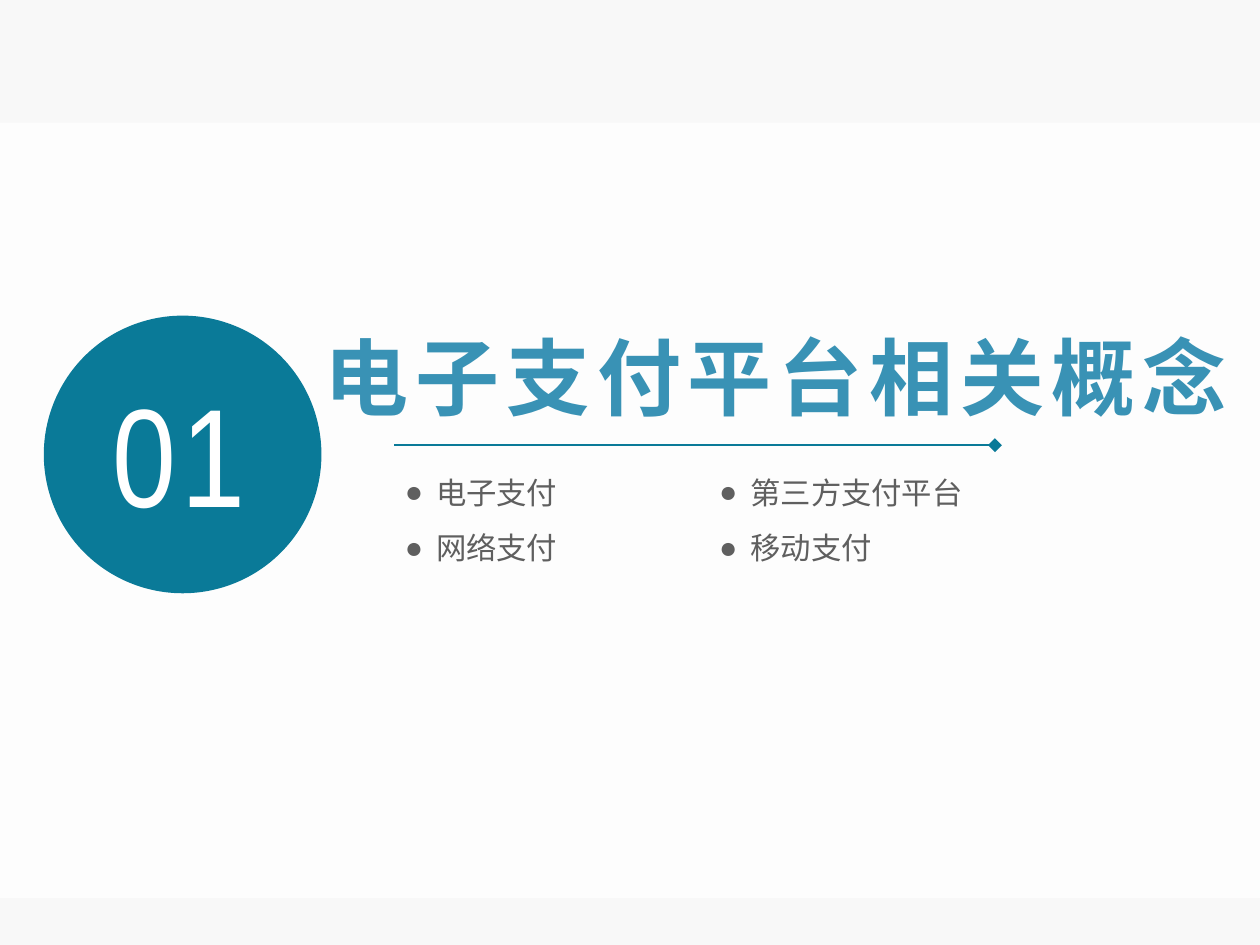
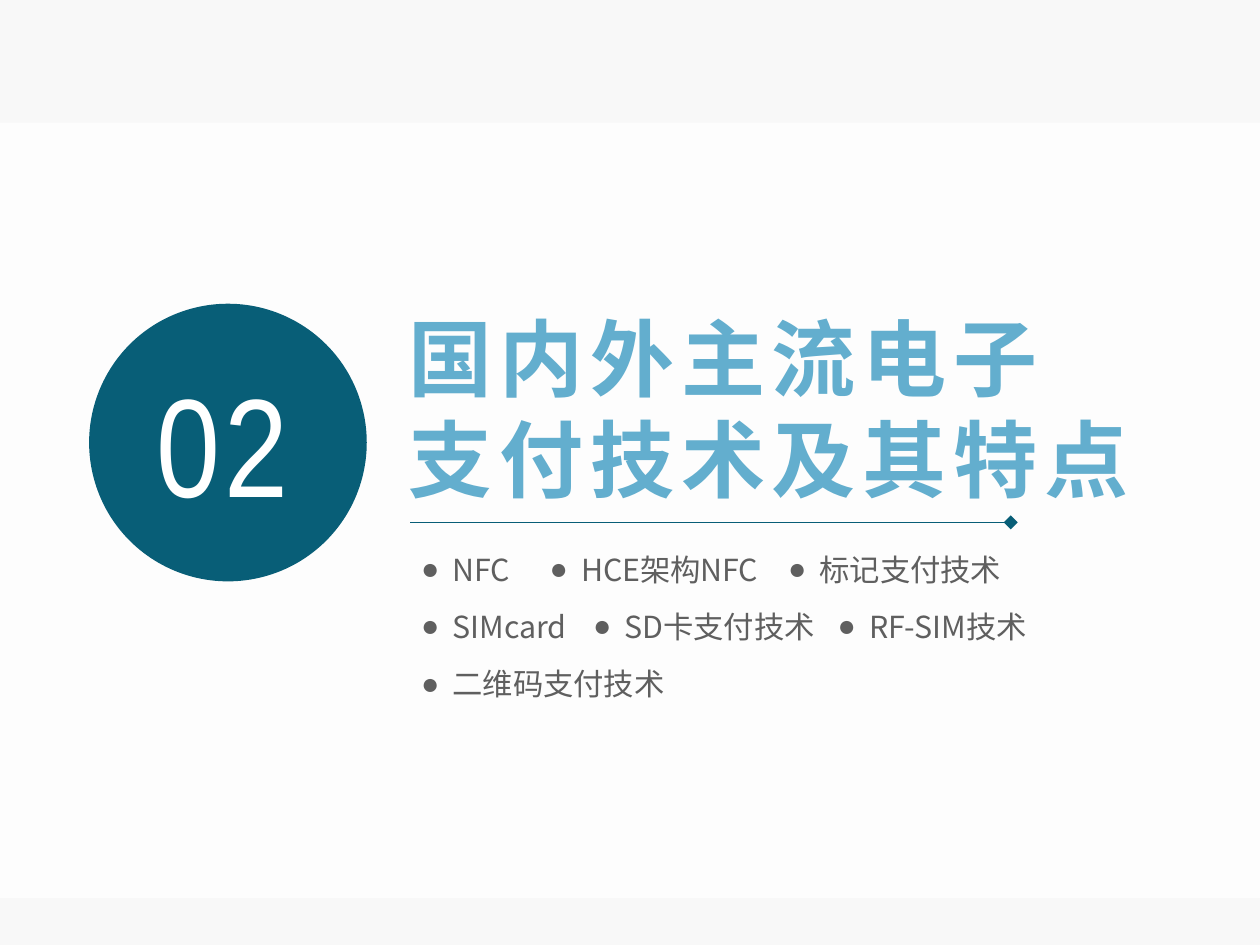
from pptx import Presentation
from pptx.util import Pt
from pptx.dml.color import RGBColor
from pptx.enum.shapes import MSO_SHAPE as Shape, MSO_CONNECTOR as Line
from pptx.enum.text import MSO_ANCHOR as Anchor, MSO_AUTO_SIZE as Fit, PP_ALIGN as Align
from pptx.oxml.ns import qn
from lxml.etree import SubElement as sub

rgb = RGBColor.from_string
SANS, NARROW = "Noto Sans CJK SC", "Arial Narrow"
GREY, WHITE = "5F5F5F", "FFFFFF"


def write(box, text, size, color, font=SANS, bold=False, gap=0, pitch=None,
          pad=(7.2, 3.6, 7.2, 3.6), wrap=True, bullet=None):
    frame = box.text_frame
    frame.auto_size, frame.word_wrap = Fit.NONE, wrap
    frame.vertical_anchor = Anchor.TOP
    (frame.margin_left, frame.margin_top,
     frame.margin_right, frame.margin_bottom) = map(Pt, pad)
    frame.text = text
    for para in frame.paragraphs:
        para.alignment = Align.LEFT
        if bullet:
            props = para._p.get_or_add_pPr()
            props.set("marL", str(Pt(13.5)))
            props.set("indent", str(-Pt(13.5)))
            sub(props, qn("a:buFont"), typeface="Arial")
            sub(props, qn("a:buChar"), char=bullet)
        if pitch:
            para.line_spacing = Pt(pitch)
        for run in para.runs:
            face = run.font
            face.size, face.bold, face.name = Pt(size), bold, font
            face.color.rgb = rgb(color)
            mark = run._r.get_or_add_rPr()
            mark.set("spc", str(int(gap * 100)))
            sub(mark, qn("a:ea"), typeface=font)


def draw(slide, kind, color, *place):
    shape = slide.shapes.add_shape(kind, *map(Pt, place))
    shape.shadow.inherit = False
    shape.fill.solid()
    shape.fill.fore_color.rgb = rgb(color)
    shape.line.fill.background()
    return shape


# Each part: number, colours, circle, number box, title box, rule, items
parts = [
    dict(num="01", dark="0A7A98", tint="3992B5", disc=(18.8, 135.3),
         label=(41, 154.1, 80.6), title="电子支付平台相关概念",
         place=(131.8, 132.5, 408.2, 51.1), wrap=False,
         rule=(169, 190.8), top=202.3, step=23.8,
         rows=[[(173.5, "电子支付"), (308.2, "第三方支付平台")],
               [(173.5, "网络支付"), (308.2, "移动支付")]]),
    dict(num="02", dark="085E77", tint="63AECE", disc=(38.2, 130.2),
         label=(59.8, 149.6, 97.2), title="国内外主流电子\n支付技术及其特点",
         place=(167.8, 124.6, 341.3, 94.3), wrap=True,
         rule=(175.8, 223.9), top=235.3, step=24.5,
         rows=[[(180.5, "NFC"), (235.6, "HCE架构NFC"), (337.8, "标记支付技术")],
               [(180.5, "SIMcard"), (254.2, "SD卡支付技术"), (359, "RF-SIM技术")],
               [(180.5, "二维码支付技术")]]),
]

deck = Presentation()
deck.slide_width, deck.slide_height = Pt(540), Pt(405)
layout = deck.slide_layouts[5]

# Shared background
back = deck.slide_master.background.fill
back.solid()
back.fore_color.rgb = rgb("F8F8F8")

for part in parts:
    slide = deck.slides.add_slide(layout)

    # Shared pale band, kept on the layout
    if part is parts[0]:
        band = draw(slide, Shape.RECTANGLE, WHITE, 0, 52.6, 540, 332.4)
        tone = band.element.find(".//" + qn("a:srgbClr"))
        sub(tone, qn("a:alpha"), val="79000")
        layout.shapes.element.insert(2, band.element)

    # Title
    title = slide.shapes.title
    title.left, title.top, title.width, title.height = map(Pt, part["place"])
    write(title, part["title"], 36, part["tint"], bold=True, gap=3,
          pitch=43.2, pad=(7.2, 6.8, 7.2, 0), wrap=part["wrap"])

    # Rule with a diamond end
    left, top = part["rule"]
    rule = slide.shapes.add_connector(
        Line.STRAIGHT, Pt(left), Pt(top), Pt(left + 257.4), Pt(top))
    rule.line.color.rgb = rgb(part["dark"])
    rule.line.width = Pt(0.75)
    sub(rule.line._get_or_add_ln(), qn("a:tailEnd"), type="diamond")
    sub(rule.element.spPr, qn("a:effectLst"))

    # Topics
    for i, row in enumerate(part["rows"]):
        for left, text in row:
            box = slide.shapes.add_textbox(
                Pt(left), Pt(part["top"] + i * part["step"]), Pt(158.4), Pt(15.8))
            write(box, text, 13, GREY, pitch=15.6, pad=(0, 0.9, 0, 0), bullet="●")

    # Numbered circle
    draw(slide, Shape.OVAL, part["dark"], *part["disc"], 119, 119)
    label = slide.shapes.add_textbox(*map(Pt, part["label"]), Pt(79.9))
    write(label, part["num"], 60, WHITE, font=NARROW, gap=2.2)

deck.save("out.pptx")
